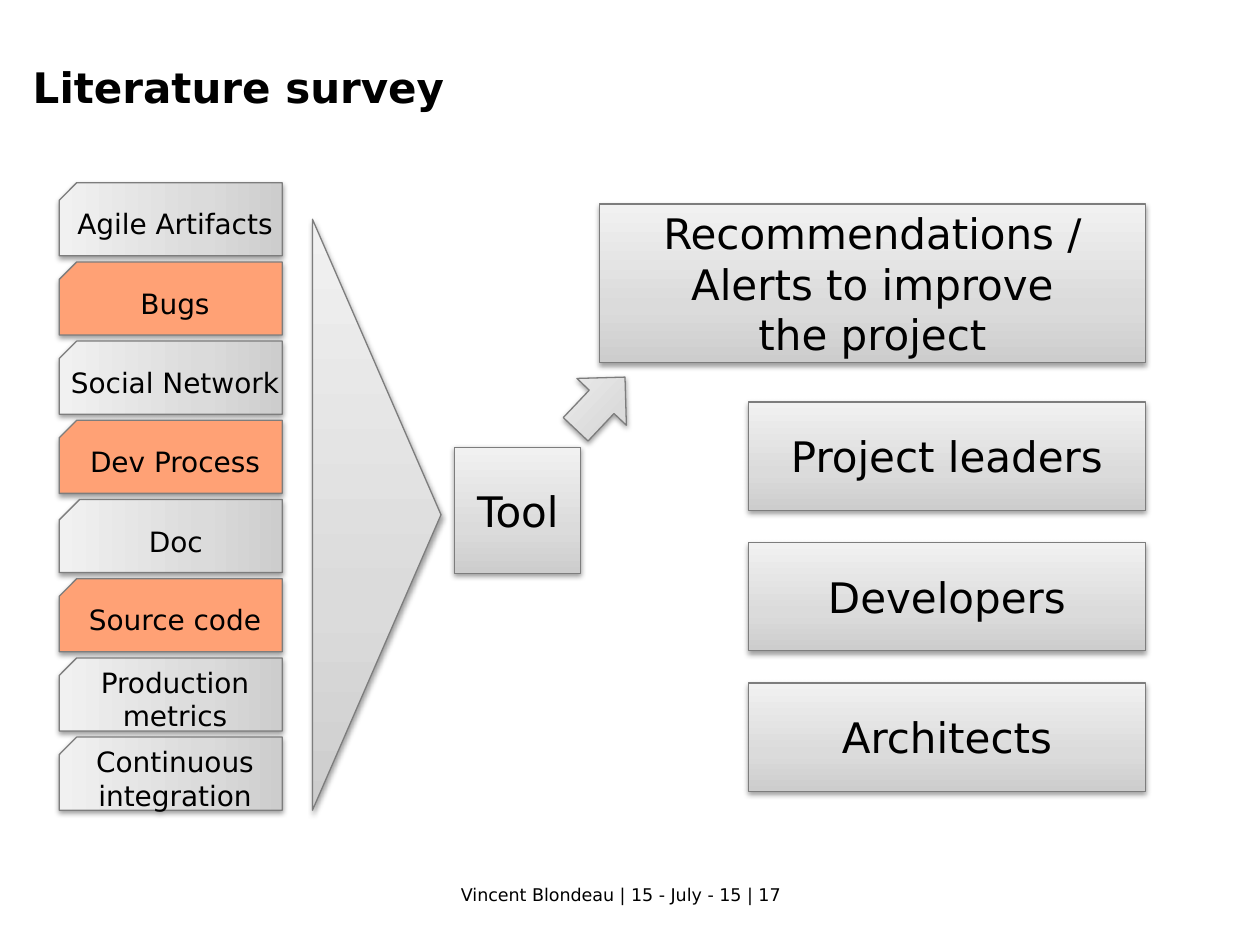
from copy import deepcopy
from lxml.etree import SubElement
from pptx import Presentation
from pptx.dml.color import RGBColor
from pptx.enum.shapes import MSO_SHAPE as Shp
from pptx.enum.text import MSO_ANCHOR as Anchor, PP_ALIGN as Align
from pptx.oxml.ns import qn
from pptx.util import Inches, Pt

FONT = "DejaVu Sans"
INK, EDGE, ACCENT = "000000", "7D7D7D", "FFA175"
GREYS = [(0, "CDCDCD"), (0.35, "DBDBDB"), (1, "F1F1F1")]
SOURCES = [
    ("Agile Artifacts", False), ("Bugs", True), ("Social Network", False),
    ("Dev Process", True), ("Doc", False), ("Source code", True),
    ("Production metrics", False), ("Continuous integration", False),
]
USERS = ["Project leaders", "Developers", "Architects"]


def rgb(code):
    return RGBColor.from_string(code)


def write(frame, lines, size, align=Align.CENTER, bold=False):
    """Put lines in one paragraph, with a line break between them."""
    frame.word_wrap = True
    para = frame.paragraphs[0]
    para.alignment = align
    for i, line in enumerate(lines):
        if i:
            para.add_line_break()
        run = para.add_run()
        run.text = line
        font = run.font
        font.name, font.size, font.bold = FONT, Pt(size), bold
        font.color.rgb = rgb(INK)


def shade(shape):
    """Fill with greys that run from dark at the bottom to light at the top."""
    fill = shape.fill
    fill.gradient()
    fill.gradient_angle = 90
    stops = shape._element.spPr.find(qn("a:gradFill")).find(qn("a:gsLst"))
    stops.append(deepcopy(stops[0]))
    for stop, (pos, code) in zip(fill.gradient_stops, GREYS):
        stop.position = pos
        stop.color.rgb = rgb(code)


def drop(shape):
    """Add a soft shadow below the shape."""
    shape.shadow.inherit = False
    effects = shape._element.spPr.find(qn("a:effectLst"))
    outer = SubElement(effects, qn("a:outerShdw"), blurRad=str(Pt(3.1)),
                       dist=str(Pt(1.6)), dir="5400000", rotWithShape="0")
    color = SubElement(outer, qn("a:srgbClr"), val=INK)
    SubElement(color, qn("a:alpha"), val="38000")


def block(slide, kind, box, color=None, turn=0):
    shape = slide.shapes.add_shape(kind, *map(Inches, box))
    shape.rotation = turn
    if color:
        shape.fill.solid()
        shape.fill.fore_color.rgb = rgb(color)
    else:
        shade(shape)
    shape.line.color.rgb = rgb(EDGE)
    shape.line.width = Pt(0.75)
    drop(shape)
    return shape


def label(slide, box, *lines):
    frame = block(slide, Shp.RECTANGLE, box).text_frame
    frame.vertical_anchor = Anchor.MIDDLE
    write(frame, lines, 24)


def card(slide, box, name, color):
    """Turn a snipped rectangle so that its cut corner is at the top left."""
    x, y, w, h = box
    off = (w - h) / 2
    shape = block(slide, Shp.SNIP_1_RECTANGLE, (x + off, y - off, h, w), color, 270)
    shape.adjustments[0] = 0.28 if name == "Doc" else 0.24
    frame = shape.text_frame
    frame.margin_left = frame.margin_right = 0
    frame.margin_top = frame.margin_bottom = 0
    frame.vertical_anchor = Anchor.MIDDLE
    frame._txBody.bodyPr.set("vert", "vert")
    write(frame, [name], 16)


def heading(slide, box):
    title = slide.shapes.title
    title.left, title.top, title.width, title.height = map(Inches, box)
    frame = title.text_frame
    frame.vertical_anchor = Anchor.TOP
    frame.margin_top = Inches(0.08)
    write(frame, ["Literature survey"], 24, Align.LEFT, True)


def sources(slide, box):
    x, y, w, h = box
    tall = 0.58
    step = (h - tall) / (len(SOURCES) - 1)
    for i, (name, hot) in enumerate(SOURCES):
        card(slide, (x, y + i * step, w, tall), name, ACCENT if hot else None)


def funnel(slide, box):
    """Draw the wide arrow that leads from the sources to the tool."""
    x, y, w, h = box
    arrow = block(slide, Shp.RIGHT_ARROW, (x, y, 1.02, h))
    arrow.adjustments[0], arrow.adjustments[1] = 0.81, 1
    side = 1
    label(slide, (x + w - side, y + 1.81, side, side), "Tool")


def results(slide, box):
    x, y, w, h = box
    label(slide, (x, y, w, 1.26), "Recommendations / Alerts to improve", "the project")
    wide, tall, step = 3.15, 0.86, 1.115
    first = y + h - tall - step * (len(USERS) - 1)
    for i, name in enumerate(USERS):
        label(slide, (x + w - wide, first + i * step, wide, tall), name)
    block(slide, Shp.RIGHT_ARROW, (x - 0.28, y + 1.31, 0.57, 0.54), turn=313.4)


def footer(slide, box):
    frame = slide.shapes.add_textbox(*map(Inches, box)).text_frame
    write(frame, ["Vincent Blondeau | 15 - July - 15 | 17"], 10, Align.LEFT)


def main():
    deck = Presentation()
    deck.slide_width, deck.slide_height = Inches(10), Inches(7.5)
    slide = deck.slides.add_slide(deck.slide_layouts[5])
    footer(slide, (3.56, 6.97, 3.05, 0.27))
    heading(slide, (0.16, 0.41, 9.57, 0.83))
    sources(slide, (0.47, 1.45, 1.77, 4.98))
    funnel(slide, (2.48, 1.74, 2.13, 4.69))
    results(slide, (4.76, 1.62, 4.33, 4.66))
    deck.save("out.pptx")


if __name__ == "__main__":
    main()
